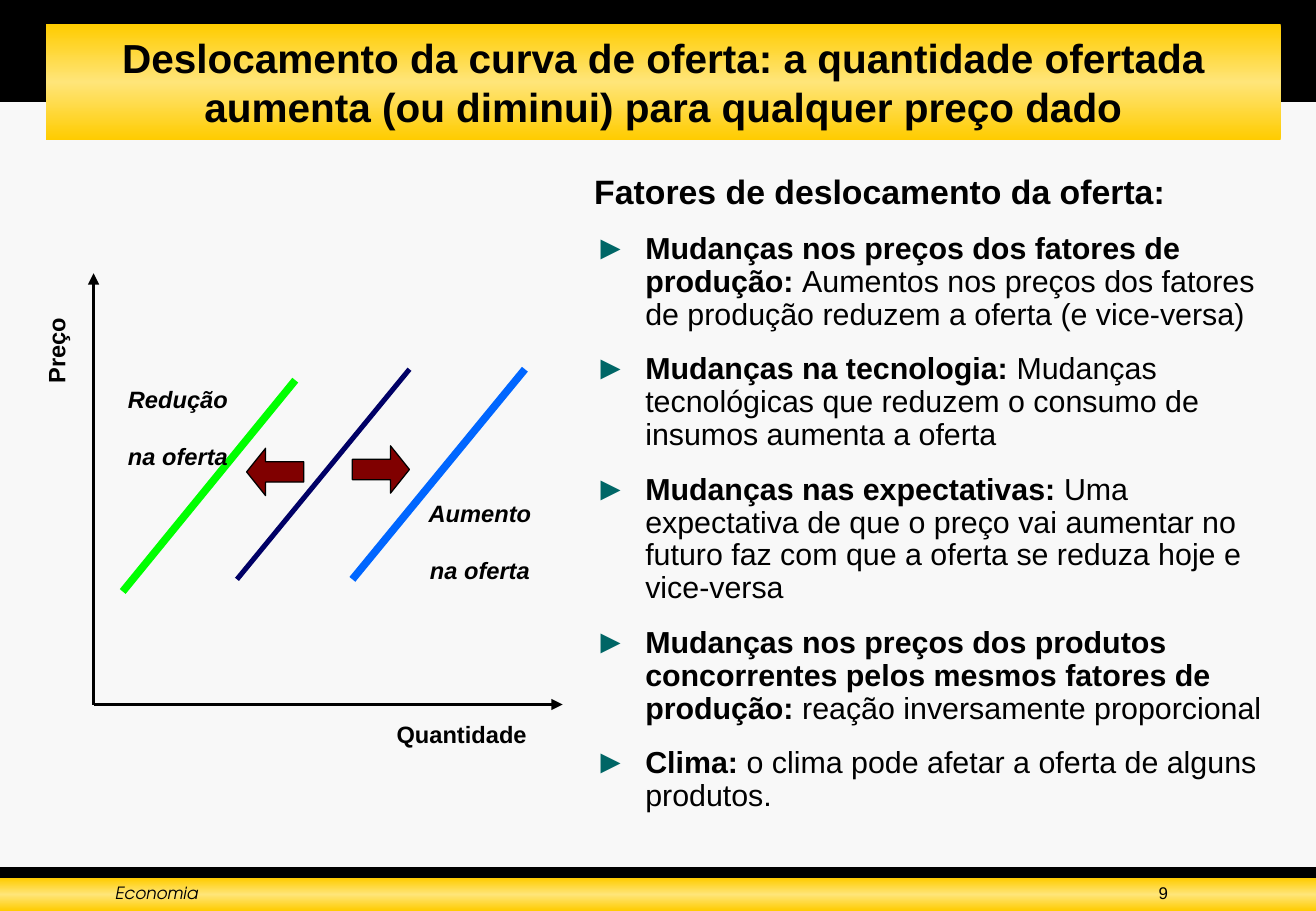
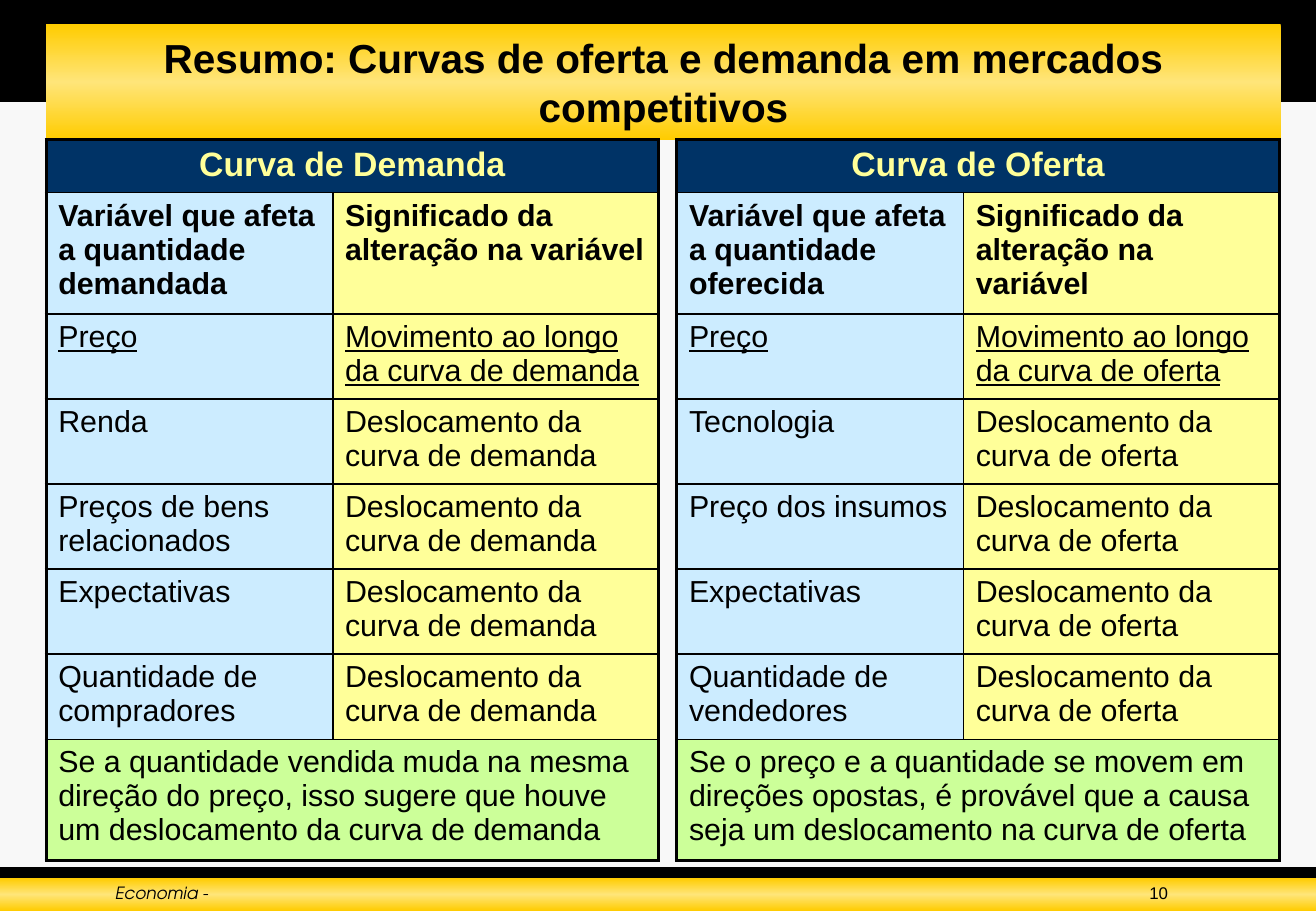
from copy import deepcopy
from dataclasses import dataclass
from typing import Optional

from pptx import Presentation
from pptx.dml.color import RGBColor
from pptx.enum.shapes import MSO_CONNECTOR, MSO_SHAPE
from pptx.enum.text import MSO_ANCHOR, MSO_AUTO_SIZE, PP_ALIGN
from pptx.oxml import parse_xml
from pptx.oxml.ns import nsdecls, qn
from pptx.util import Inches, Pt

BLACK, BACKGROUND = "000000", "F8F8F8"
GOLD, PALE_GOLD = "FFCC00", "FFE579"
NAVY, TEAL, MAROON = "003366", "006666", "800000"
LIGHT_BLUE, LIGHT_YELLOW, LIGHT_GREEN = "CCECFF", "FFFF99", "CCFF99"
SANS, FOOTER_FONT = "Arial", "TeX Gyre Adventor"
WIDTH, HEIGHT = 10.83, 7.5
TITLE_BOX = (0.38, 0.2, 10.16, 0.95)

Box = tuple[float, float, float, float]
Point = tuple[float, float]


@dataclass
class Band:
    """A page-wide strip of the master, plain black or gold gradient."""
    box: Box
    golden: bool


@dataclass
class Label:
    """A text box of the chart; each line is a paragraph."""
    lines: list[str]
    box: Box
    italic: bool = False
    rotation: float = 0


@dataclass
class Line:
    """A straight line, with an arrowhead at its end if asked."""
    start: Point
    end: Point
    color: str
    width: float
    arrow: bool = False


@dataclass
class CurveTable:
    """Summary of what moves one curve."""
    left: float
    widths: tuple[float, float]
    curve: str
    adjective: str
    variables: list[str]
    conclusion: str


BANDS = [
    Band((0, 0, WIDTH, 0.84), False),
    Band(TITLE_BOX, True),
    Band((0, 7.14, WIDTH, 0.36), False),
    Band((0, 7.23, WIDTH, 0.27), True),
]
FACTORS = [
    ("Mudanças nos preços dos fatores de produção: ",
     "Aumentos nos preços dos fatores de produção reduzem a oferta (e vice-versa)"),
    ("Mudanças na tecnologia: ",
     "Mudanças tecnológicas que reduzem o consumo de insumos aumenta a oferta"),
    ("Mudanças nas expectativas: ",
     "Uma expectativa de que o preço vai aumentar no futuro faz com que a oferta "
     "se reduza hoje e vice-versa"),
    ("Mudanças nos preços dos produtos concorrentes pelos mesmos fatores de produção:",
     " reação inversamente proporcional"),
    ("Clima:", " o clima pode afetar a oferta de alguns produtos."),
]
ORIGIN = (0.77, 5.8)
LINES = [
    Line(ORIGIN, (0.77, 2.25), BLACK, 2.25, True),
    Line(ORIGIN, (4.63, 5.8), BLACK, 2.25, True),
    Line((3.37, 3.04), (1.95, 4.77), "000066", 3),
    Line((4.32, 3.04), (2.9, 4.77), "0066FF", 4.5),
    Line((2.43, 3.13), (1.01, 4.87), "00FF00", 4.5),
]
SHIFT_ARROWS = [
    (MSO_SHAPE.RIGHT_ARROW, (2.9, 3.67, 0.47, 0.39)),
    (MSO_SHAPE.LEFT_ARROW, (2.03, 3.69, 0.47, 0.39)),
]
LABELS = [
    Label(["Preço"], (-0.09, 2.72, 1.1, 0.33), rotation=270),
    Label(["Quantidade"], (3.05, 5.88, 1.5, 0.33)),
    Label(["Aumento", "na oferta"], (3.4, 4.06, 1.1, 0.57), italic=True),
    Label(["Redução", "na oferta"], (0.93, 3.12, 1.07, 0.57), italic=True),
]
ROW_HEIGHTS = [0.43, 1, 0.7, 0.7, 0.7, 0.7, 0.7, 1]
TABLES = [
    CurveTable(0.38, (2.36, 2.68), "demanda", "demandada",
               ["Preço", "Renda", "Preços de bens relacionados", "Expectativas",
                "Quantidade de compradores"],
               "Se a quantidade vendida muda na mesma direção do preço, isso sugere "
               "que houve um deslocamento da curva de demanda"),
    CurveTable(5.57, (2.36, 2.6), "oferta", "oferecida",
               ["Preço", "Tecnologia", "Preço dos insumos", "Expectativas",
                "Quantidade de vendedores"],
               "Se o preço e a quantidade se movem em direções opostas, é provável "
               "que a causa seja um deslocamento na curva de oferta"),
]


def rgb(color: str) -> RGBColor:
    """Turn a hex string into a colour."""
    return RGBColor.from_string(color)


def inches(*lengths: float) -> list:
    """Turn numbers into lengths."""
    return [Inches(length) for length in lengths]


def place(shape, box: Box) -> None:
    """Move and size a shape."""
    shape.left, shape.top, shape.width, shape.height = inches(*box)


def format_runs(paragraph, size: float, color: str = BLACK, bold: bool = False,
                italic: bool = False, underline: Optional[bool] = None,
                name: str = SANS) -> None:
    """Give every run of a paragraph the same font."""
    for run in paragraph.runs:
        font = run.font
        font.name, font.size, font.color.rgb = name, Pt(size), rgb(color)
        font.bold, font.italic, font.underline = bold, italic, underline


def fill_gold(shape) -> None:
    """Fill a shape with the three-stop gold gradient."""
    shape.fill.gradient()
    shape.fill.gradient_angle = 90
    stop_list = shape.element.spPr.find(qn("a:gradFill")).find(qn("a:gsLst"))
    stop_list.insert(1, deepcopy(stop_list[0]))
    for index, stop in enumerate(shape.fill.gradient_stops):
        stop.position = index / 2
        stop.color.rgb = rgb(PALE_GOLD if index == 1 else GOLD)


def set_up_master(presentation, slide) -> None:
    """Set the background and move the bands, drawn on a slide, to the master."""
    master = presentation.slide_master
    master.background.fill.solid()
    master.background.fill.fore_color.rgb = rgb(BACKGROUND)
    first_placeholder = master.placeholders[0].element
    for number, band in enumerate(BANDS, start=20):
        shape = slide.shapes.add_shape(MSO_SHAPE.RECTANGLE, *inches(*band.box))
        shape.shadow.inherit = False
        shape.line.fill.background()
        if band.golden:
            fill_gold(shape)
        else:
            shape.fill.solid()
            shape.fill.fore_color.rgb = rgb(BLACK)
        shape.element.nvSpPr.cNvPr.set("id", str(number))
        first_placeholder.addprevious(shape.element)


def add_text(slide, lines: list[str], box: Box, align, wrap: bool = True):
    """Add a text box with one paragraph a line."""
    shape = slide.shapes.add_textbox(*inches(*box))
    frame = shape.text_frame
    frame.word_wrap = wrap
    frame.text = "\n".join(lines)
    for paragraph in frame.paragraphs:
        paragraph.alignment = align
    return shape


def set_title_and_footer(slide, title: str, footer: str, number: int) -> None:
    """Fill the title placeholder and the footer line."""
    place(slide.shapes.title, TITLE_BOX)
    frame = slide.shapes.title.text_frame
    frame.text = title
    frame.auto_size, frame.vertical_anchor = MSO_AUTO_SIZE.NONE, MSO_ANCHOR.MIDDLE
    frame.paragraphs[0].alignment = PP_ALIGN.CENTER
    format_runs(frame.paragraphs[0], 24, bold=True)
    name = add_text(slide, [footer], (0.85, 7.22, 6.22, 0.28), PP_ALIGN.LEFT)
    format_runs(name.text_frame.paragraphs[0], 10, italic=True, name=FOOTER_FONT)
    page = add_text(slide, [str(number)], (8.57, 7.22, 1.14, 0.28), PP_ALIGN.RIGHT)
    format_runs(page.text_frame.paragraphs[0], 10)


def set_bullet(paragraph, bulleted: bool) -> None:
    """Set the hanging indent and the teal arrow bullet."""
    properties = paragraph._p.get_or_add_pPr()
    properties.set("marL", str(Inches(0.42)))
    properties.set("indent", str(Inches(-0.42)))
    parts = [f'<a:buClr {nsdecls("a")}><a:srgbClr val="{TEAL}"/></a:buClr>',
             f'<a:buSzPct {nsdecls("a")} val="110000"/>',
             f'<a:buFont {nsdecls("a")} typeface="{SANS}"/>',
             f'<a:buChar {nsdecls("a")} char="►"/>']
    for part in parts if bulleted else [f'<a:buNone {nsdecls("a")}/>']:
        properties.append(parse_xml(part))


def fill_factors(placeholder) -> None:
    """Write the list of factors into the body placeholder."""
    place(placeholder, (4.79, 1.39, 5.75, 5.59))
    frame = placeholder.text_frame
    frame.auto_size = MSO_AUTO_SIZE.NONE
    heading = frame.paragraphs[0]
    heading.text = "Fatores de deslocamento da oferta:"
    heading.line_spacing, heading.space_before = 0.9, Pt(0)
    set_bullet(heading, False)
    format_runs(heading, 20, bold=True)
    for factor, effect in FACTORS:
        paragraph = frame.add_paragraph()
        paragraph.text = factor
        paragraph.add_run().text = effect
        paragraph.line_spacing, paragraph.space_before = 0.9, Pt(13)
        set_bullet(paragraph, True)
        format_runs(paragraph, 18)
        paragraph.runs[0].font.bold = True


def add_line(slide, line: Line) -> None:
    """Draw an axis or a curve."""
    connector = slide.shapes.add_connector(
        MSO_CONNECTOR.STRAIGHT, *inches(*line.start, *line.end))
    connector.line.color.rgb, connector.line.width = rgb(line.color), Pt(line.width)
    if line.arrow:
        connector.line._get_or_add_ln().append(
            parse_xml(f'<a:tailEnd {nsdecls("a")} type="triangle"/>'))
    connector.element.spPr.append(parse_xml(f'<a:effectLst {nsdecls("a")}/>'))


def add_shift_arrow(slide, kind, box: Box) -> None:
    """Draw a block arrow showing where the curve goes."""
    arrow = slide.shapes.add_shape(kind, *inches(*box))
    arrow.shadow.inherit = False
    arrow.adjustments[0], arrow.adjustments[1] = 0.43, 0.4
    arrow.fill.solid()
    arrow.fill.fore_color.rgb = rgb(MAROON)
    arrow.line.color.rgb, arrow.line.width = rgb(BLACK), Pt(0.75)


def add_label(slide, label: Label) -> None:
    """Write a label of the chart."""
    shape = add_text(slide, label.lines, label.box, PP_ALIGN.CENTER, wrap=not label.italic)
    shape.rotation = label.rotation
    for index, paragraph in enumerate(shape.text_frame.paragraphs):
        paragraph.space_before = Pt(17 if index else 0)
        format_runs(paragraph, 14, bold=True, italic=label.italic)


def set_borders(cell, outer_sides: str) -> None:
    """Draw the four borders of a cell, thick on the outer sides."""
    properties = cell._tc.get_or_add_tcPr()
    for index, side in enumerate("LRTB"):
        width = Pt(2.25 if side in outer_sides else 1)
        properties.insert(index, parse_xml(
            f'<a:ln{side} {nsdecls("a")} w="{width}"><a:solidFill>'
            f'<a:srgbClr val="{BLACK}"/></a:solidFill></a:ln{side}>'))


def add_curve_table(slide, summary: CurveTable) -> None:
    """Build the summary table of one curve."""
    curve = f"da curva de {summary.curve}"
    meanings = [f"Movimento ao longo {curve}"] + [f"Deslocamento {curve}"] * 4
    rows = [(f"Curva de {summary.curve.capitalize()}", ""),
            (f"Variável que afeta a quantidade {summary.adjective}",
             "Significado da alteração na variável"),
            *zip(summary.variables, meanings),
            (summary.conclusion, "")]
    last = len(rows) - 1
    table = slide.shapes.add_table(len(rows), 2, *inches(
        summary.left, 1.15, sum(summary.widths), sum(ROW_HEIGHTS))).table
    table.first_row = table.horz_banding = False
    for column, width in zip(table.columns, summary.widths):
        column.width = Inches(width)
    for index, texts in enumerate(rows):
        table.rows[index].height = Inches(ROW_HEIGHTS[index])
        fills = {0: (NAVY, NAVY), last: (LIGHT_GREEN, LIGHT_GREEN)}.get(
            index, (LIGHT_BLUE, LIGHT_YELLOW))
        spanning = index in (0, last)
        if spanning:
            table.cell(index, 0).merge(table.cell(index, 1))
        for side, text in enumerate(texts):
            cell = table.cell(index, side)
            cell.text = text
            cell.fill.solid()
            cell.fill.fore_color.rgb = rgb(fills[side])
            set_borders(cell, ("LR" if spanning else "LR"[side])
                        + {0: "T", last: "B"}.get(index, ""))
            paragraph = cell.text_frame.paragraphs[0]
            paragraph.alignment = PP_ALIGN.LEFT if index else PP_ALIGN.CENTER
            format_runs(paragraph, 18 if index else 20, BLACK if index else LIGHT_YELLOW,
                        bold=index < 2, underline=index == 2)


def main() -> None:
    """Build both slides and save them."""
    presentation = Presentation()
    presentation.slide_width, presentation.slide_height = inches(WIDTH, HEIGHT)
    layouts = presentation.slide_layouts

    shift_slide = presentation.slides.add_slide(layouts[1])
    set_up_master(presentation, shift_slide)
    set_title_and_footer(shift_slide, "Deslocamento da curva de oferta: a quantidade ofertada "
                         "aumenta (ou diminui) para qualquer preço dado", "Economia ", 9)
    fill_factors(shift_slide.placeholders[1])
    for line in LINES:
        add_line(shift_slide, line)
    for kind, box in SHIFT_ARROWS:
        add_shift_arrow(shift_slide, kind, box)
    for label in LABELS:
        add_label(shift_slide, label)

    summary_slide = presentation.slides.add_slide(layouts[5])
    set_title_and_footer(summary_slide, "Resumo: Curvas de oferta e demanda em mercados "
                         "competitivos", "Economia -", 10)
    for summary in TABLES:
        add_curve_table(summary_slide, summary)
    presentation.save("out.pptx")


main()
